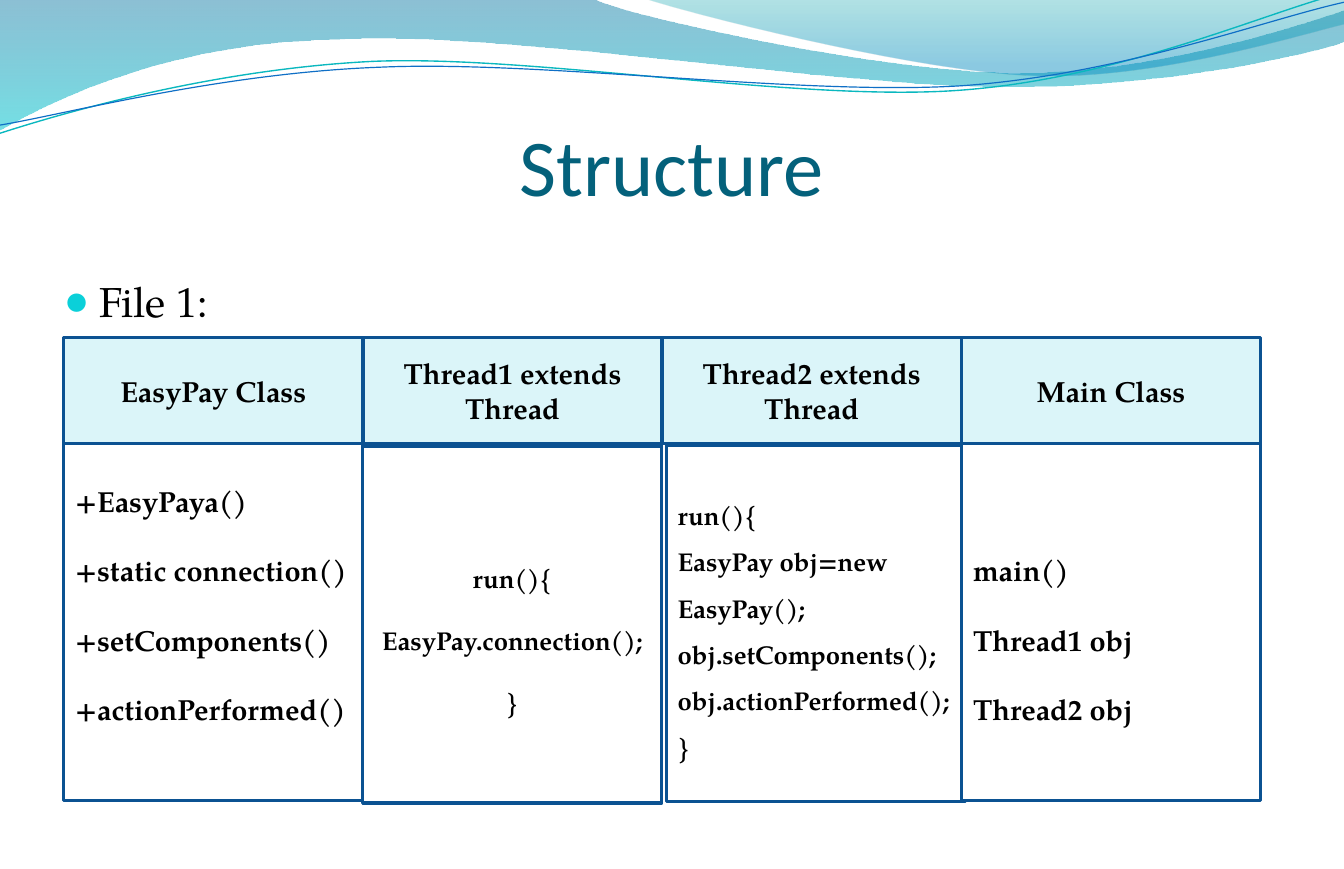
import lxml.etree
import pptx
import pptx.dml.color
import pptx.enum.shapes
import pptx.enum.text
import pptx.oxml.ns
import pptx.util

Inches = pptx.util.Inches
Pt = pptx.util.Pt
RGB = pptx.dml.color.RGBColor.from_string
qn = pptx.oxml.ns.qn
ALIGN = pptx.enum.text.PP_ALIGN
ANCHOR = pptx.enum.text.MSO_ANCHOR
COLORS = {
    "title": "04617B", "text": "000000", "bullet": "0BD0D9",
    "header": "DBF5F9", "body": "FFFFFF", "border": "0B5292",
    "wave_blue": "0074A1", "wave_cyan": "00C6CF",
    "crest_green": "00A1A9", "crest_blue": "008BBF",
    "line_cyan": "0AB8BF", "line_blue": "0F6FC6",
}
SERIF = "TeX Gyre Pagella"
SANS = "Calibri"


def write_text(shape, lines, size, font=SERIF, color="text", bold=False,
               align=ALIGN.LEFT, spacing=1.0, anchor=ANCHOR.MIDDLE):
    """Write one paragraph per line into the shape."""
    frame = shape.text_frame
    frame.word_wrap = True
    frame.vertical_anchor = anchor
    for index, line in enumerate(lines):
        para = frame.add_paragraph() if index else frame.paragraphs[0]
        para.alignment = align
        para.line_spacing = spacing
        span = para.add_run()
        span.text = line
        span.font.name = font
        span.font.size = Pt(size)
        span.font.bold = bold
        span.font.color.rgb = RGB(COLORS[color])


def add_wave(page, start, segments, closed):
    """Draw an outline from straight (x, y) and cubic (x1, y1, x2, y2, x, y) segments."""
    points = [(Inches(segment[i]), Inches(segment[i + 1]))
              for segment in segments for i in range(0, len(segment), 2)]
    builder = page.shapes.build_freeform(Inches(start[0]), Inches(start[1]))
    builder.add_line_segments(points, close=closed)
    wave = builder.convert_to_shape()
    wave.shadow.inherit = False
    steps = iter(list(wave.element.spPr.iter(qn("a:lnTo"))))
    for segment in segments:
        step = next(steps)
        if len(segment) == 6:
            step.addprevious(curve := lxml.etree.Element(qn("a:cubicBezTo")))
            for corner in (step, next(steps), next(steps)):
                curve.append(corner[0])
                corner.getparent().remove(corner)
    return wave


deck = pptx.Presentation()
deck.slide_width = Inches(11.6)
deck.slide_height = Inches(7.5)
page = deck.slides.add_slide(deck.slide_layouts[6])

# Filled waves: start, segments, gradient stops (position, color, opacity in percent)
filled_waves = [
    ((0, 0),
     [(5.11, -0.01), (5.52, 0.17, 7.7, 0.63, 8.8, 0.63), (9.9, 0.63, 11.12, 0.26, 11.6, 0.09),
      (11.61, 0.36), (11.41, 0.44, 10.09, 0.76, 8.65, 0.75),
      (7.21, 0.75, 4.43, 0.28, 2.98, 0.34), (1.5, 0.36, 0.53, 0.83, -0.01, 1.13)],
     [(0, "wave_blue", 45), (1, "wave_cyan", 55)]),
    ((5.56, -0.01),
     [(5.91, 0.11, 7.91, 0.62, 8.92, 0.65), (9.93, 0.69, 11.15, 0.32, 11.6, 0.21), (11.6, 0)],
     [(0, "crest_green", 30), (0.8, "crest_blue", 45)]),
]
for start, segments, stops in filled_waves:
    wave = add_wave(page, start, segments, closed=True)
    wave.line.fill.background()
    wave.fill.gradient()
    wave.fill.gradient_angle = 270
    for stop, (position, color, opacity) in zip(wave.fill.gradient_stops, stops):
        stop.position = position
        stop.color.rgb = RGB(COLORS[color])
    for node, (position, color, opacity) in zip(wave.element.spPr.iter(qn("a:srgbClr")), stops):
        lxml.etree.SubElement(node, qn("a:alpha")).set("val", str(opacity * 1000))

# Thin wave lines: start, segments, color, width
wave_lines = [
    ((0, 1.15),
     [(0.56, 0.97, 1.83, 0.6, 3.21, 0.53), (4.59, 0.47, 6.87, 0.88, 8.27, 0.78),
      (9.66, 0.68, 10.89, 0.12, 11.58, -0.06)], "line_cyan", 0.85),
    ((0, 1.08),
     [(0.55, 0.99, 1.9, 0.63, 3.29, 0.58), (4.67, 0.52, 6.93, 0.83, 8.31, 0.74),
      (9.7, 0.64, 10.92, 0.17, 11.6, 0.02)], "line_blue", 0.75),
]
for start, segments, color, width in wave_lines:
    wave = add_wave(page, start, segments, closed=False)
    wave.fill.background()
    wave.line.color.rgb = RGB(COLORS[color])
    wave.line.width = Pt(width)

# Title and bullet
title = page.shapes.add_textbox(Inches(0.58), Inches(0.77), Inches(10.44), Inches(1.25))
title.text_frame.margin_left = title.text_frame.margin_right = 0
title.text_frame.margin_bottom = 0
write_text(title, ["Structure"], 50, font=SANS, color="title", align=ALIGN.CENTER)

bullet_box = page.shapes.add_textbox(Inches(0.46), Inches(2.33), Inches(10.44), Inches(4.8))
write_text(bullet_box, ["File 1:"], 26, anchor=ANCHOR.TOP)
properties = bullet_box.text_frame.paragraphs[0]._p.get_or_add_pPr()
properties.set("marL", str(Inches(0.3)))
properties.set("indent", str(-Inches(0.3)))
bullet_color = lxml.etree.SubElement(properties, qn("a:buClr"))
lxml.etree.SubElement(bullet_color, qn("a:srgbClr")).set("val", COLORS["bullet"])
for tag, key, value in [("a:buSzPct", "val", "95000"), ("a:buFont", "typeface", SANS),
                        ("a:buChar", "char", "\u25cf")]:
    lxml.etree.SubElement(properties, qn(tag)).set(key, value)

# Class boxes: header text, then left, top, lines and format of the body
LEFT, RIGHT = 0.55, 10.88
HEADER_TOP, HEADER_HEIGHT, BODY_HEIGHT = 2.91, 0.92, 3.08
header_format = {"size": 18, "bold": True, "align": ALIGN.CENTER}
classes = [
    ("EasyPay Class", 0.55, 3.83,
     ["+EasyPaya()", "+static connection()", "+setComponents()", "+actionPerformed()"],
     {"size": 18, "spacing": 2.0}),
    ("Thread1 extends Thread", 3.13, 3.85,
     ["run(){", "EasyPay.connection();", "}"],
     {"size": 16, "spacing": 2.0, "align": ALIGN.CENTER}),
    ("Thread2 extends Thread", 5.75, 3.84,
     ["run(){", "EasyPay obj=new EasyPay();", "obj.setComponents();",
      "obj.actionPerformed();", "}"],
     {"size": 16, "spacing": 1.5}),
    ("Main Class", 8.3, 3.83,
     ["main()", "Thread1 obj", "Thread2 obj"],
     {"size": 18, "spacing": 2.0}),
]
column_width = (RIGHT - LEFT) / len(classes)
boxes = [(LEFT + column * column_width, HEADER_TOP, HEADER_HEIGHT, "header", [entry[0]],
          header_format) for column, entry in enumerate(classes)]
boxes += [(left, top, BODY_HEIGHT, "body", lines, {"bold": True, **style})
          for header, left, top, lines, style in classes]
for left, top, height, fill, lines, style in boxes:
    box = page.shapes.add_shape(pptx.enum.shapes.MSO_SHAPE.FLOWCHART_PROCESS, Inches(left),
                                Inches(top), Inches(column_width), Inches(height))
    box.shadow.inherit = False
    box.fill.solid()
    box.fill.fore_color.rgb = RGB(COLORS[fill])
    box.line.color.rgb = RGB(COLORS["border"])
    box.line.width = Pt(2)
    write_text(box, lines, **style)
    if len(lines) == 4:
        box.text_frame.margin_bottom = Inches(0.65)  # lifts the four methods

deck.save("out.pptx")
